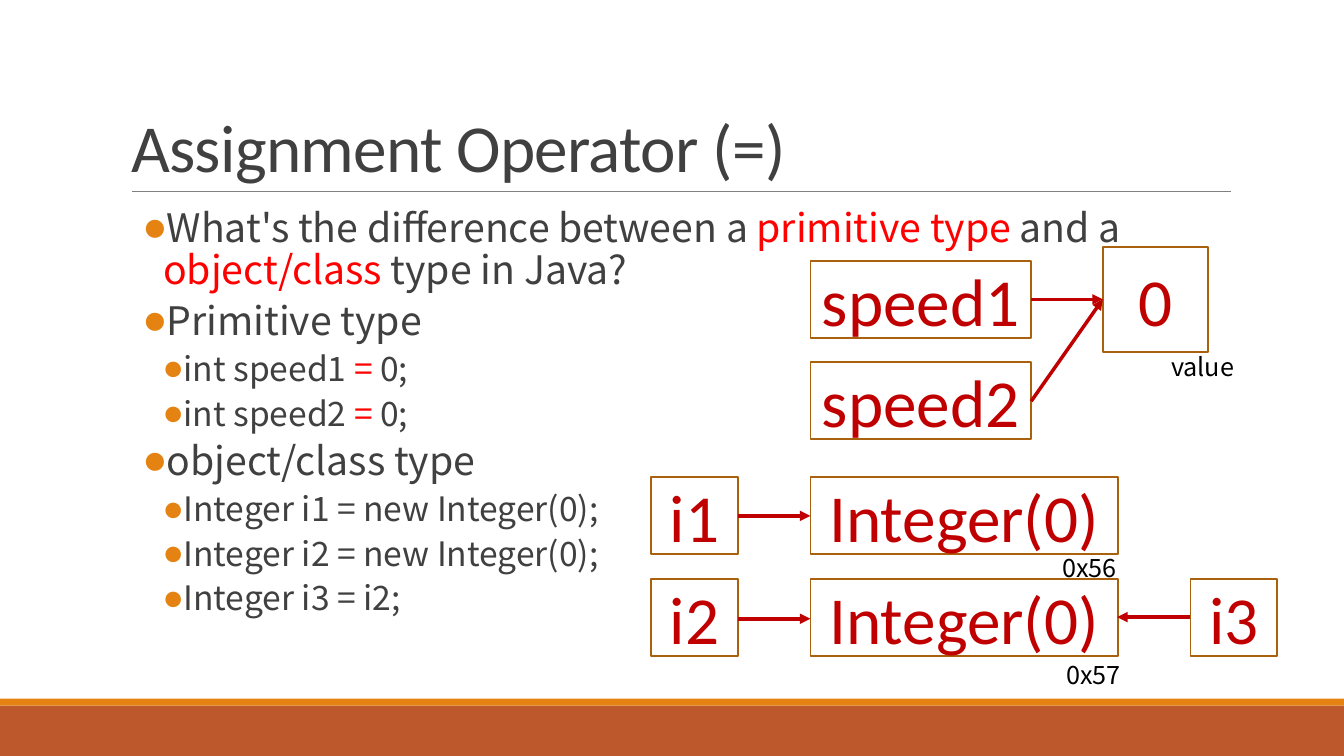
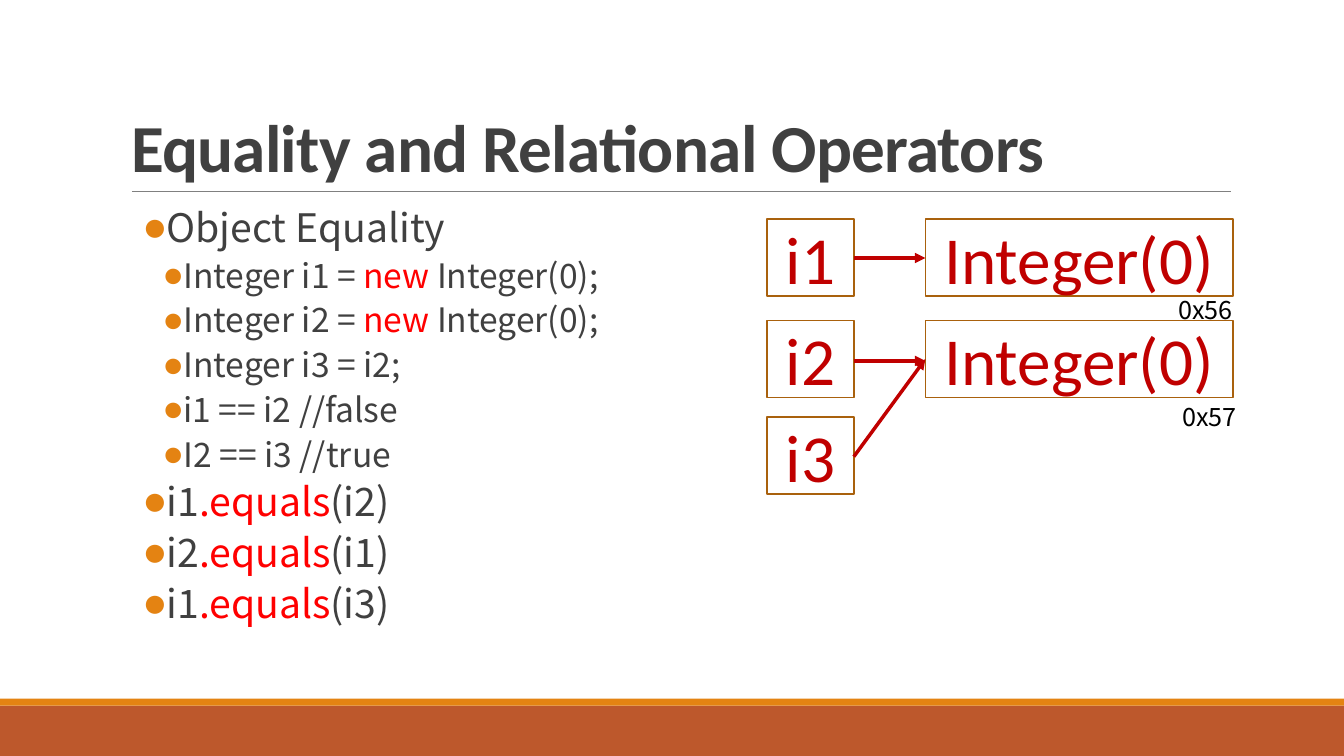
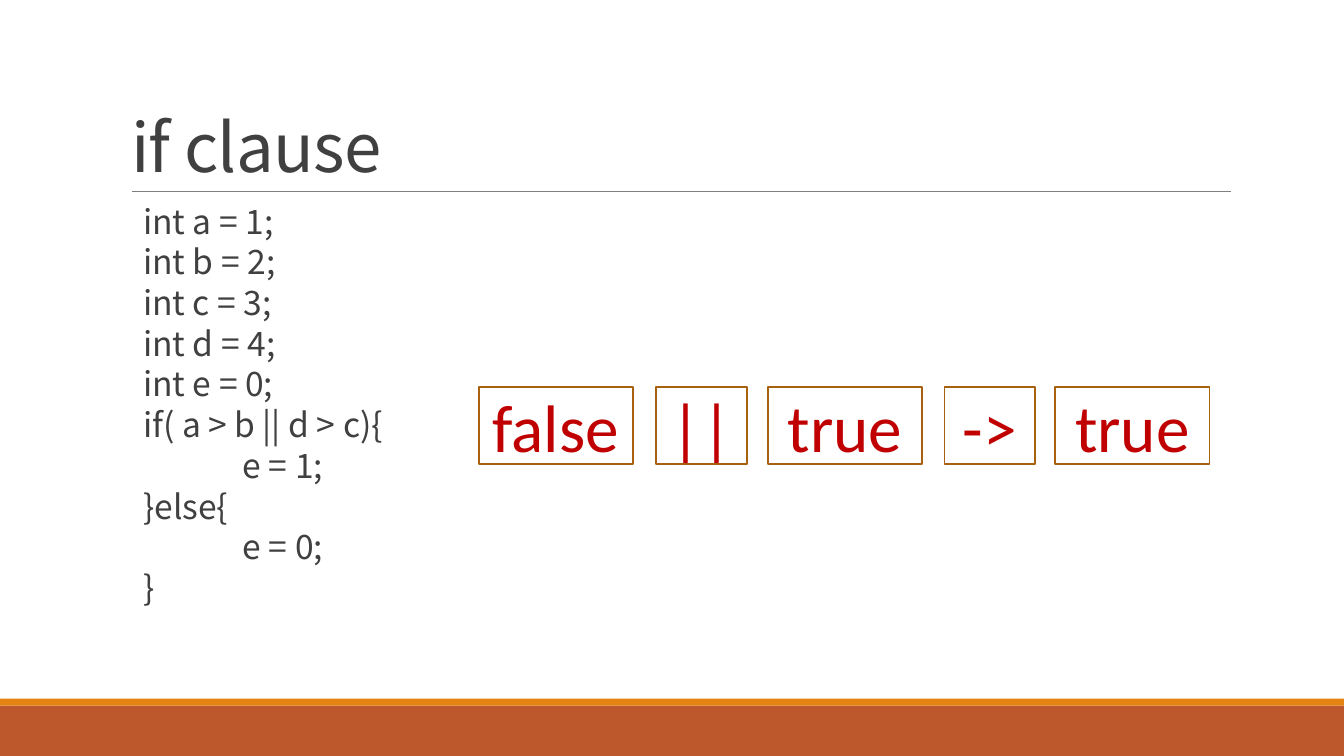
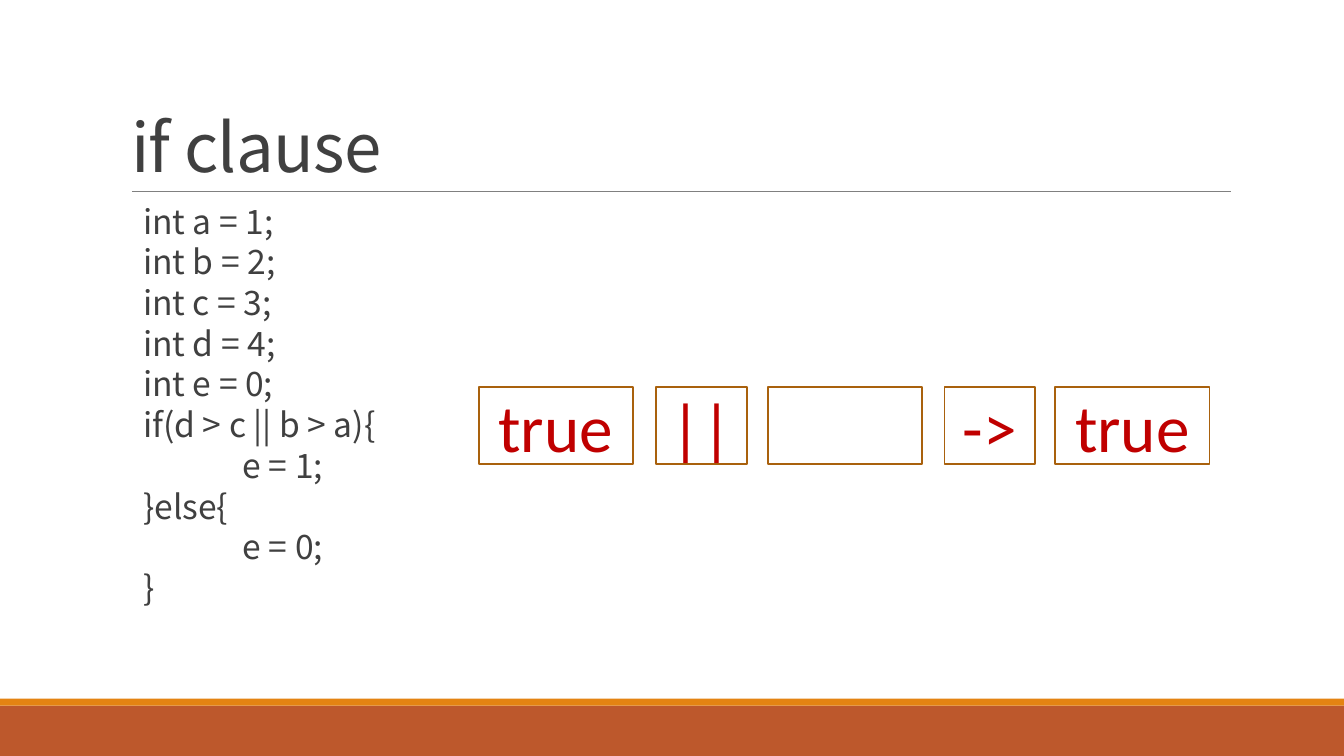
"""Build four lecture slides on Java operators and the if clause."""
import pptx
import pptx.dml.color
import pptx.enum.shapes
import pptx.enum.text
import pptx.oxml.ns
import pptx.util
from lxml import etree

Pt = pptx.util.Pt
RGBColor = pptx.dml.color.RGBColor
RECTANGLE = pptx.enum.shapes.MSO_SHAPE.RECTANGLE
STRAIGHT = pptx.enum.shapes.MSO_CONNECTOR.STRAIGHT
ALIGN = pptx.enum.text.PP_ALIGN
ANCHOR = pptx.enum.text.MSO_ANCHOR
qn = pptx.oxml.ns.qn

RUST = RGBColor(0xBD, 0x58, 0x2C)
ORANGE = RGBColor(0xE4, 0x83, 0x12)
BROWN = RGBColor(0xA9, 0x61, 0x0D)
CRIMSON = RGBColor(0xC0, 0x00, 0x00)
RED = RGBColor(0xFF, 0x00, 0x00)
CHARCOAL = RGBColor(0x40, 0x40, 0x40)
GRAY = RGBColor(0x80, 0x80, 0x80)
BLACK = RGBColor(0x00, 0x00, 0x00)
LATIN = "Calibri"
NOTO = "Noto Sans CJK SC"


def write(frame, text, *, size, font=NOTO, color=CHARCOAL, bold=False, align=ALIGN.LEFT,
          line=1.0, before=0, after=0, margin=0, hang=0, bullet=None, tracking=0):
    """Add a paragraph to a frame; parts between tildes are red."""
    paragraph = frame.add_paragraph() if frame.text else frame.paragraphs[0]
    paragraph.alignment = align
    paragraph.line_spacing = line
    paragraph.space_before = Pt(before)
    paragraph.space_after = Pt(after)
    properties = paragraph._p.get_or_add_pPr()
    properties.set("marL", str(Pt(margin)))
    properties.set("indent", str(Pt(-hang)))
    if bullet:
        tint = etree.SubElement(properties, qn("a:buClr"))
        etree.SubElement(tint, qn("a:srgbClr"), val=str(ORANGE))
        etree.SubElement(properties, qn("a:buFont"), typeface=LATIN)
        etree.SubElement(properties, qn("a:buChar"), char=bullet)
    for index, part in enumerate(text.split("~")):
        if part:
            run = paragraph.add_run()
            run.text = part
            run.font.size = Pt(size)
            run.font.name = font
            run.font.bold = bold
            run.font.color.rgb = RED if index % 2 else color
            if tracking:
                run._r.get_or_add_rPr().set("spc", str(round(tracking * 100)))


def draw_line(shapes, ends, color, width, arrow=False):
    """Draw a straight line, with an arrowhead at its end if asked."""
    connector = shapes.add_connector(STRAIGHT, *(Pt(end) for end in ends))
    connector.line.color.rgb = color
    connector.line.width = Pt(width)
    if arrow:
        etree.SubElement(connector.line._get_or_add_ln(), qn("a:tailEnd"), type="triangle")
    etree.SubElement(connector.element.spPr, qn("a:effectLst"))
    return connector


BULLETED = dict(line=0.9, before=2, after=4, hang=14.4, bullet="●")
PLAIN = dict(size=24, line=0.8, before=2, after=4)
STYLES = {
    "topic": dict(BULLETED, size=28, margin=30.2),
    "detail": dict(BULLETED, size=24, margin=44.6),
    "code": dict(PLAIN, margin=15.8),
    "nested": dict(PLAIN, margin=87),
}

BOX_HEIGHT = 55
NAME_WIDTH = 62
OBJECT_WIDTH = 219.6
SPEED_WIDTH = 157.7

lessons = [
    dict(
        title="Assignment Operator (=)", font=LATIN, bold=False,
        body=[
            ("topic", "What's the difference between a ~primitive type~ and a "
                      "~object/class ~type in Java?"),
            ("topic", "Primitive type"),
            ("detail", "int speed1 ~=~ 0;"),
            ("detail", "int speed2 ~=~ 0;"),
            ("topic", "object/class type"),
            ("detail", "Integer i1 = new Integer(0);"),
            ("detail", "Integer i2 = new Integer(0);"),
            ("detail", "Integer i3 = i2;"),
        ],
        boxes=[
            ("0", 787.7, 176.4, 75, 75),
            ("speed1", 578.9, 186.5, SPEED_WIDTH, BOX_HEIGHT),
            ("speed2", 578.9, 258.6, SPEED_WIDTH, BOX_HEIGHT),
            ("Integer(0)", 578.9, 340.8, OBJECT_WIDTH, BOX_HEIGHT),
            ("i1", 465.1, 340.8, NAME_WIDTH, BOX_HEIGHT),
            ("i2", 465.1, 413.4, NAME_WIDTH, BOX_HEIGHT),
            ("Integer(0)", 578.9, 413.4, OBJECT_WIDTH, BOX_HEIGHT),
            ("i3", 850.3, 413.4, NAME_WIDTH, BOX_HEIGHT),
        ],
        labels=[("value", 829.4, 247.7, 61.2), ("0x56", 751.7, 391, 86.4),
                ("0x57", 754.6, 467.3, 86.4)],
        arrows=[
            (736.6, 213.8, 787.7, 213.8),
            (736.6, 286.6, 787.7, 213.8),
            (527, 368.5, 578.9, 368.5),
            (527, 442, 578.9, 442),
            (850.3, 440.8, 798, 440.8),
        ],
    ),
    dict(
        title="Equality and Relational Operators", font=LATIN, bold=True,
        body=[
            ("topic", "Object Equality"),
            ("detail", "Integer i1 = ~new~ Integer(0);"),
            ("detail", "Integer i2 = ~new~ Integer(0);"),
            ("detail", "Integer i3 = i2;"),
            ("detail", "i1 == i2 //false"),
            ("detail", "I2 == i3 //true"),
            ("topic", "i1~.equals~(i2)"),
            ("topic", "i2~.equals~(i1)"),
            ("topic", "i1~.equals~(i3)"),
        ],
        boxes=[
            ("Integer(0)", 661, 156.7, OBJECT_WIDTH, BOX_HEIGHT),
            ("i1", 547.9, 156.7, NAME_WIDTH, BOX_HEIGHT),
            ("i2", 547.9, 229, NAME_WIDTH, BOX_HEIGHT),
            ("Integer(0)", 661, 229, OBJECT_WIDTH, BOX_HEIGHT),
            ("i3", 547.9, 298.1, NAME_WIDTH, BOX_HEIGHT),
        ],
        labels=[("0x56", 834.5, 206.6, 86.4), ("0x57", 837.4, 283, 86.4)],
        arrows=[
            (609.9, 184.3, 661, 184.3),
            (609.9, 257.8, 661, 257.8),
            (609.9, 326.2, 661, 256.5),
        ],
    ),
]

for condition, operands in [
    ("if( a > b || d > c){", ("false", "||", "true", "->", "true")),
    ("if(d > c || b > a){", ("true", "||", "", "->", "true")),
]:
    declarations = [f"int {name} = {value};" for name, value in zip("abcde", (1, 2, 3, 4, 0))]
    columns = [(342, 110.2), (468.7, 64.8), (548.6, 110.2), (674.6, 64.8), (753.8, 110.2)]
    lessons.append(dict(
        title="if clause", font=NOTO, bold=False,
        body=[("code", declaration) for declaration in declarations] + [
            ("code", condition), ("nested", "e = 1;"), ("code", "}else{"),
            ("nested", "e = 0;"), ("code", "}"),
        ],
        boxes=[(operand, left, 276.5, width, BOX_HEIGHT)
               for operand, (left, width) in zip(operands, columns)],
        labels=[], arrows=[],
    ))

deck = pptx.Presentation()
deck.slide_width = Pt(960)
deck.slide_height = Pt(540)
layout = deck.slide_layouts.get_by_name("Title Only")

for placeholder in list(layout.placeholders):
    if placeholder.placeholder_format.idx:
        layout.shapes.element.remove(placeholder.element)
heading = layout.placeholders[0]
heading.left, heading.top, heading.width, heading.height = Pt(86.4), Pt(22.3), Pt(792), Pt(114.5)

slides = [deck.slides.add_slide(layout) for lesson in lessons]

shared = [draw_line(slides[0].shapes, (94.3, 136.8, 879.1, 136.8), GRAY, 0.5)]
for top, height, color in [(504, 36, RUST), (499, 5, ORANGE)]:
    band = slides[0].shapes.add_shape(RECTANGLE, 0, Pt(top), Pt(960), Pt(height))
    band.fill.solid()
    band.fill.fore_color.rgb = color
    band.line.fill.background()
    band.shadow.inherit = False
    shared.append(band)
for part in shared:
    layout.shapes.element.append(part.element)

for slide, lesson in zip(slides, lessons):
    title = slide.shapes.title.text_frame
    title.vertical_anchor = ANCHOR.BOTTOM
    title.auto_size = pptx.enum.text.MSO_AUTO_SIZE.NONE
    write(title, lesson["title"], size=48, font=lesson["font"], bold=lesson["bold"],
          line=0.85, tracking=-0.5)

    body = slide.shapes.add_textbox(Pt(86.4), Pt(145.4), Pt(792), Pt(316.8)).text_frame
    body.word_wrap = True
    body.margin_left = body.margin_right = 0
    for style, text in lesson["body"]:
        write(body, text, **STYLES[style])

    for text, *bounds in lesson["boxes"]:
        box = slide.shapes.add_shape(RECTANGLE, *(Pt(bound) for bound in bounds))
        box.fill.background()
        box.line.color.rgb = BROWN
        box.line.width = Pt(1.25)
        box.shadow.inherit = False
        if text:
            box.text_frame.vertical_anchor = ANCHOR.MIDDLE
            write(box.text_frame, text, size=48, font=LATIN, color=CRIMSON, align=ALIGN.CENTER)

    for text, left, top, width in lesson["labels"]:
        label = slide.shapes.add_textbox(Pt(left), Pt(top), Pt(width), Pt(29)).text_frame
        label.word_wrap = True
        write(label, text, size=18, color=BLACK)

    for ends in lesson["arrows"]:
        draw_line(slide.shapes, ends, CRIMSON, 2.5, arrow=True)

deck.save("out.pptx")
